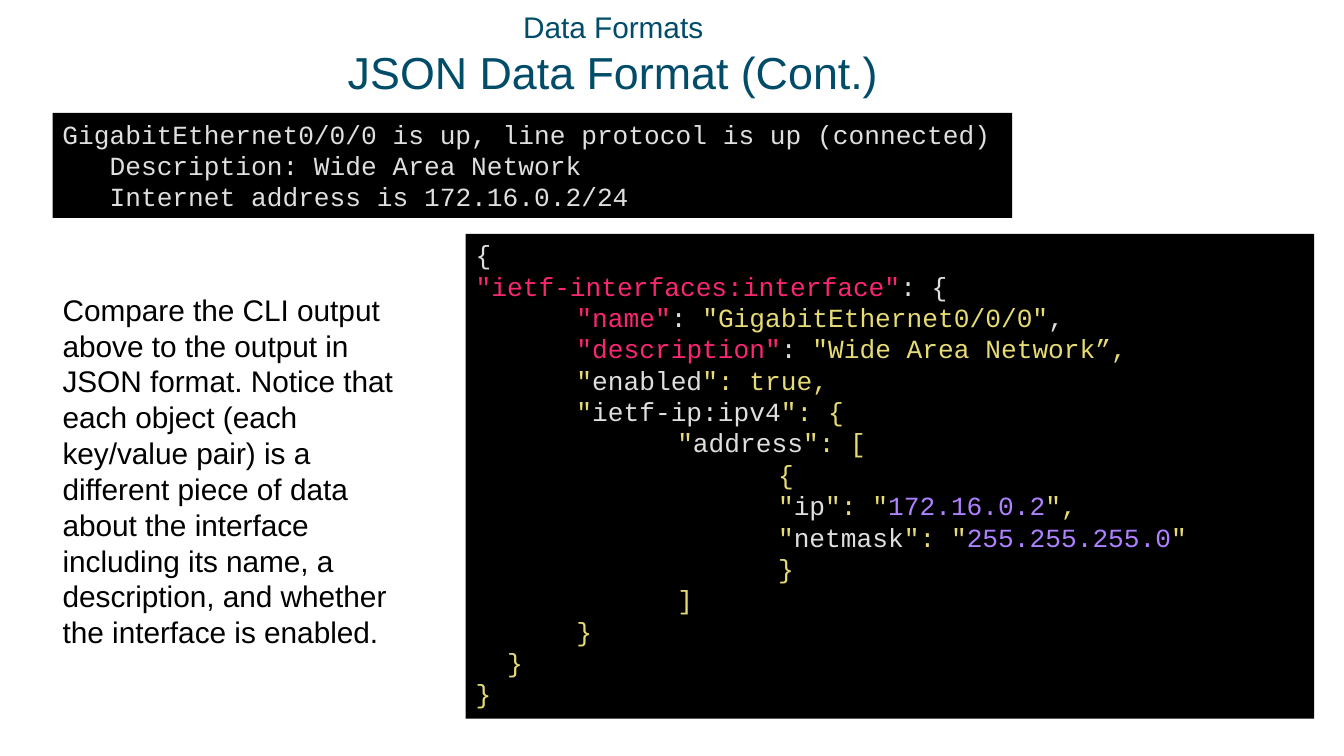
from pptx import Presentation
from pptx.util import Pt
from pptx.dml.color import RGBColor
from pptx.enum.shapes import MSO_SHAPE
from pptx.enum.text import MSO_ANCHOR, MSO_AUTO_SIZE, PP_ALIGN
from lxml import etree

RECT = MSO_SHAPE.RECTANGLE
TOP, MID = MSO_ANCHOR.TOP, MSO_ANCHOR.MIDDLE
LEFT, CENTER = PP_ALIGN.LEFT, PP_ALIGN.CENTER
FIXED = MSO_AUTO_SIZE.NONE


class Theme:
    """Colours, fonts and type sizes of the slide."""
    sans, mono = "Arial", "Courier New"
    head, sub, body, code = 32, 21.3, 21.3, 18.7
    lead, step = 22.4, 72
    ink = {
        "title": "004C69", "text": "000000", "back": "000000",
        "plain": "DFDFDF", "key": "F92672", "str": "E6DB74", "num": "AE81FF",
    }


STATUS = [
    (0, [("plain", "GigabitEthernet0/0/0 is up, line protocol is up (connected)")]),
    (33.7, [("plain", "Description: Wide Area Network")]),
    (33.7, [("plain", "Internet address is 172.16.0.2/24")]),
]


def pair(name, mark, value="", end=""):
    """Return the runs of a key, with a purple value if there is one."""
    runs = [("str", '"'), ("plain", name), ("str", mark)]
    return runs + [("num", value), ("str", end)] if value else runs


STEP = Theme.step
JSON = [
    (0, [("plain", "{")]),
    (0, [("key", '"ietf-interfaces:interface"'), ("plain", ": {")]),
    (STEP, [("key", '"name"'), ("plain", ": "),
            ("str", '"GigabitEthernet0/0/0"'), ("plain", ",")]),
    (STEP, [("key", '"description"'), ("plain", ": "),
            ("str", '"Wide Area Network”,')]),
    (STEP, pair("enabled", '": true,')),
    (STEP, pair("ietf-ip:ipv4", '": {')),
    (2 * STEP, pair("address", '": [')),
    (3 * STEP, [("str", "{")]),
    (3 * STEP, pair("ip", '": "', "172.16.0.2", '",')),
    (3 * STEP, pair("netmask", '": "', "255.255.255.0", '"')),
    (3 * STEP, [("str", "}")]),
    (2 * STEP, [("str", "]")]),
    (STEP, [("str", "}")]),
    (22.4, [("str", "}")]),
    (0, [("str", "}")]),
]
NOTE = ("Compare the CLI output above to the output in JSON format. Notice that "
        "each object (each key/value pair) is a different piece of data about "
        "the interface including its name, a description, and whether the "
        "interface is enabled.")


def apply(item, form):
    """Set each attribute named in form on item."""
    for name, value in form.items():
        setattr(item, name, value)


def place(shape, box):
    """Move shape to box, given as left, top, width and height."""
    names = ("left", "top", "width", "height")
    apply(shape, {name: Pt(size) for name, size in zip(names, box)})


def frame(shape, anchor):
    """Prepare the text frame of shape and return it."""
    text = shape.text_frame
    apply(text, {
        "word_wrap": True, "auto_size": FIXED, "vertical_anchor": anchor,
        "margin_left": Pt(7.2), "margin_right": Pt(7.2),
        "margin_top": Pt(3.6), "margin_bottom": Pt(3.6),
    })
    return text


def write(para, text, font, size, ink):
    """Add one formatted run to para."""
    run = para.add_run()
    run.text = text
    apply(run.font, {"name": font, "size": Pt(size), "bold": False})
    run.font.color.rgb = RGBColor.from_string(Theme.ink[ink])


def title(shape, box):
    """Fill the title with a small line above a large one."""
    place(shape, box)
    para = frame(shape, MID).paragraphs[0]
    apply(para, {"alignment": CENTER, "line_spacing": 1.0})
    write(para, "Data Formats", Theme.sans, Theme.sub, "title")
    para.add_line_break()
    write(para, "JSON Data Format (Cont.)", Theme.sans, Theme.head, "title")


def note(shape, box):
    """Fill the body with one paragraph without a bullet."""
    place(shape, box)
    para = frame(shape, TOP).paragraphs[0]
    apply(para, {"alignment": LEFT, "line_spacing": Pt(25.6),
                 "space_before": Pt(4.3)})
    props = para._p.get_or_add_pPr()
    props.set("marL", "0")
    props.set("indent", "0")
    space = props.nsmap["a"]
    etree.SubElement(props, f"{{{space}}}buNone")
    write(para, NOTE, Theme.sans, Theme.body, "text")


def code(slide, box, lines):
    """Draw a black panel with indented, coloured lines of code."""
    shape = slide.shapes.add_shape(RECT, *map(Pt, box))
    shape.shadow.inherit = False
    shape.fill.solid()
    shape.fill.fore_color.rgb = RGBColor.from_string(Theme.ink["back"])
    shape.line.fill.background()
    text = frame(shape, TOP)
    for row, (inset, runs) in enumerate(lines):
        para = text.add_paragraph() if row else text.paragraphs[0]
        apply(para, {"alignment": LEFT, "line_spacing": Pt(Theme.lead)})
        para._p.get_or_add_pPr().set("marL", str(Pt(inset)))
        for ink, part in runs:
            write(para, part, Theme.mono, Theme.code, ink)


def main():
    """Build the slide and save it."""
    deck = Presentation()
    apply(deck, {"slide_width": Pt(960), "slide_height": Pt(540)})
    slide = deck.slides.add_slide(deck.slide_layouts[1])
    head, body = slide.placeholders
    title(head, (0, 0, 876, 77))
    note(body, (37.5, 204.5, 271.5, 274.5))
    code(slide, (37.5, 80.7, 685.5, 75), STATUS)
    code(slide, (332.7, 167, 606, 346.3), JSON)
    deck.save("out.pptx")


main()
